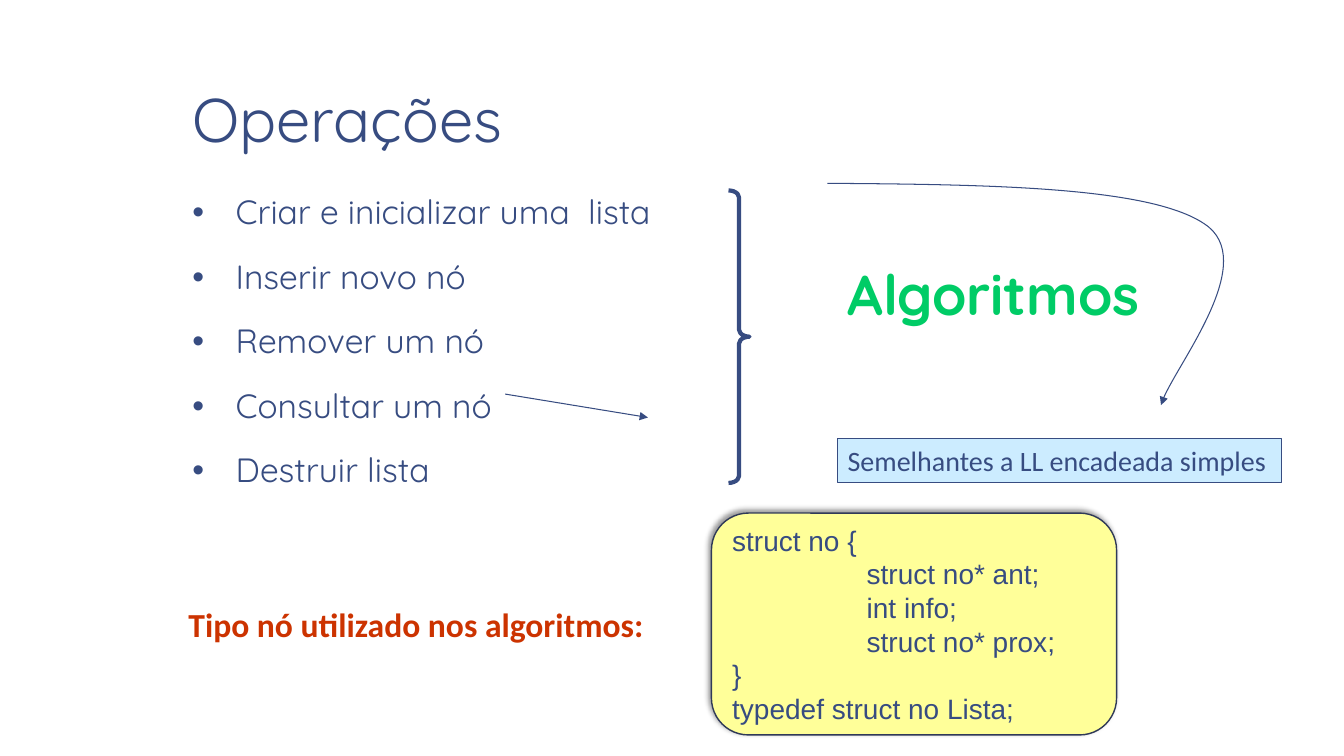
from dataclasses import dataclass

import pptx
import pptx.dml.color
import pptx.enum.shapes
import pptx.enum.text
import pptx.oxml
import pptx.oxml.ns
import pptx.util
from lxml import etree

Cm, Pt = pptx.util.Cm, pptx.util.Pt
qn = pptx.oxml.ns.qn
MSO_SHAPE = pptx.enum.shapes.MSO_SHAPE
ANCHOR = pptx.enum.text.MSO_ANCHOR

COLORS = {
    "navy": "374C81", "edge": "303A58", "green": "00CC66", "red": "CC3300",
    "white": "FFFFFF", "sky": "CCECFF", "yellow": "FFFF99", "black": "000000",
}


@dataclass
class Box:
    """A block of text, with places and sizes in centimetres."""
    lines: list[str]
    at: tuple[float, float, float, float]
    size: float
    font: str
    color: str = "navy"
    bold: bool = False
    wrap: bool = False
    fill: str | None = None
    line: str | None = None
    line_width: float = 0.75
    preset: MSO_SHAPE = MSO_SHAPE.RECTANGLE
    anchor: ANCHOR = ANCHOR.TOP
    insets: tuple[float, float] = (0.25, 0.13)
    spacing: float = 1.0
    before: float = 0
    indent: float = 0
    tab: float = 0


def rgb(name: str) -> pptx.dml.color.RGBColor:
    return pptx.dml.color.RGBColor.from_string(COLORS[name])


def add_text(tf, text: str, *, first: bool, size: float, font: str, color: str,
             bold: bool = False, spacing: float = 1.0, before: float = 0,
             indent: float = 0, tab: float = 0) -> None:
    """Write one paragraph; indent makes a hanging bullet, tab sets a stop."""
    p = tf.paragraphs[0] if first else tf.add_paragraph()
    p.alignment = pptx.enum.text.PP_ALIGN.LEFT
    pPr = p._p.get_or_add_pPr()
    if indent:
        pPr.set("marL", str(Cm(indent)))
        pPr.set("indent", str(-Cm(indent)))
        etree.SubElement(pPr, qn("a:buFont"), typeface="Arial")
        etree.SubElement(pPr, qn("a:buChar"), char="•")
    if tab:
        stops = etree.SubElement(pPr, qn("a:tabLst"))
        etree.SubElement(stops, qn("a:tab"), pos=str(Cm(tab)), algn="l")
    p.line_spacing = spacing
    p.space_before = Pt(0 if first else before)
    r = p.add_run()
    r.text = text
    r.font.size, r.font.name, r.font.bold = Pt(size), font, bold
    r.font.color.rgb = rgb(color)


def add_box(shapes, box: Box):
    place = [Cm(v) for v in box.at]
    if box.fill:
        sp = shapes.add_shape(box.preset, *place)
        sp.shadow.inherit = False
        sp.fill.solid()
        sp.fill.fore_color.rgb = rgb(box.fill)
        if box.line:
            set_line(sp, box.line, box.line_width)
        else:
            sp.line.fill.background()
    else:
        sp = shapes.add_textbox(*place)
    tf = sp.text_frame
    tf.word_wrap = box.wrap
    tf.vertical_anchor = box.anchor
    tf.margin_left = tf.margin_right = Cm(box.insets[0])
    tf.margin_top = tf.margin_bottom = Cm(box.insets[1])
    for i, text in enumerate(box.lines):
        add_text(tf, text, first=i == 0, size=box.size, font=box.font,
                 color=box.color, bold=box.bold, spacing=box.spacing,
                 before=box.before, indent=box.indent, tab=box.tab)
    return sp


def set_line(sp, color: str, width: float, arrow: bool = False) -> None:
    sp.line.color.rgb = rgb(color)
    sp.line.width = Pt(width)
    if arrow:
        etree.SubElement(sp.line._get_or_add_ln(), qn("a:tailEnd"), type="triangle")


def add_curve(shapes, points: list[tuple[float, float]]):
    """Draw a start point followed by cubic segments of three points each."""
    start, *rest = [(Cm(x), Cm(y)) for x, y in points]
    fb = shapes.build_freeform(*start)
    fb.add_line_segments(rest, close=False)
    sp = fb.convert_to_shape()
    sp.shadow.inherit = False
    sp.fill.background()
    steps = list(sp._element.iter(qn("a:lnTo")))
    for i in range(0, len(steps), 3):
        bezier = etree.Element(qn("a:cubicBezTo"))
        steps[i].addprevious(bezier)
        for step in steps[i:i + 3]:
            bezier.append(step[0])
            step.getparent().remove(step)
    return sp


def add_shadow(sp) -> None:
    effects = sp._element.spPr.find(qn("a:effectLst"))
    shadow = etree.SubElement(effects, qn("a:outerShdw"), blurRad=str(Pt(4)),
                              dist=str(Pt(3)), dir=str(225 * 60000),
                              algn="br", rotWithShape="0")
    color = etree.SubElement(shadow, qn("a:srgbClr"), val=COLORS["black"])
    etree.SubElement(color, qn("a:alpha"), val="40000")


OPERATIONS = Box(
    ["Criar e inicializar uma  lista", "Inserir novo nó", "Remover um nó",
     "Consultar um nó", "Destruir lista"],
    (4.52, 4.72, 25, 12.42), 24, "Quicksand", wrap=True, insets=(0.33, 0.17),
    spacing=0.95, before=18.7, indent=1.09)
TITLE = Box(["Operações"], (4.52, 0.2, 25, 3.89), 44, "Quicksand", wrap=True,
            anchor=ANCHOR.BOTTOM, insets=(0.33, 0.17), spacing=0.85)
ALGORITHMS = Box(["Algoritmos"], (21.11, 6.4, 7.95, 1.96), 40, "Quicksand",
                 color="green", bold=True, fill="white")
SIMILAR = Box(["Semelhantes a LL encadeada simples"], (21.11, 11.05, 11.18, 1.12),
              20, "Calibri", fill="sky", line="navy")
NODE_LABEL = Box(["Tipo nó utilizado nos algoritmos:"], (4.5, 15.09, 12.27, 1.27),
                 24, "Calibri", color="red", bold=True)
NODE_CODE = Box(
    ["struct no {", "\tstruct no* ant;", "\tint info;", "\tstruct no* prox;",
     "}", "typedef struct no Lista;"],
    (17.93, 12.93, 10.21, 5.59), 20, "Arial", wrap=True, fill="yellow",
    line="edge", line_width=1, preset=MSO_SHAPE.ROUNDED_RECTANGLE,
    anchor=ANCHOR.MIDDLE, tab=3.39)
CURVE = [(20.85, 4.62), (24.89, 4.65), (28.96, 4.7), (30.35, 5.64),
         (31.75, 6.55), (29.46, 9.42), (29.26, 10.21)]


def main() -> None:
    prs = pptx.Presentation()
    prs.slide_width, prs.slide_height = Cm(33.87), Cm(19.05)
    s = prs.slides.add_slide(prs.slide_layouts[6])
    shapes = s.shapes

    # Text blocks
    for box in (OPERATIONS, TITLE, ALGORITHMS, SIMILAR, NODE_LABEL):
        add_box(shapes, box)

    # Arrows
    arrow = shapes.add_connector(pptx.enum.shapes.MSO_CONNECTOR.STRAIGHT,
                                 Cm(12.73), Cm(9.93), Cm(16.33), Cm(10.52))
    set_line(arrow, "navy", 0.75, arrow=True)
    etree.SubElement(arrow._element.spPr, qn("a:effectLst"))
    set_line(add_curve(shapes, CURVE), "navy", 0.75, arrow=True)

    # Brace beside the operations
    brace = shapes.add_shape(MSO_SHAPE.RIGHT_BRACE, Cm(18.36), Cm(4.8), Cm(0.53), Cm(7.37))
    brace.shadow.inherit = False
    brace.fill.background()
    brace.adjustments[0] = 0.33
    set_line(brace, "navy", 3)

    # Node structure
    add_shadow(add_box(shapes, NODE_CODE))

    prs.save("out.pptx")


if __name__ == "__main__":
    main()
